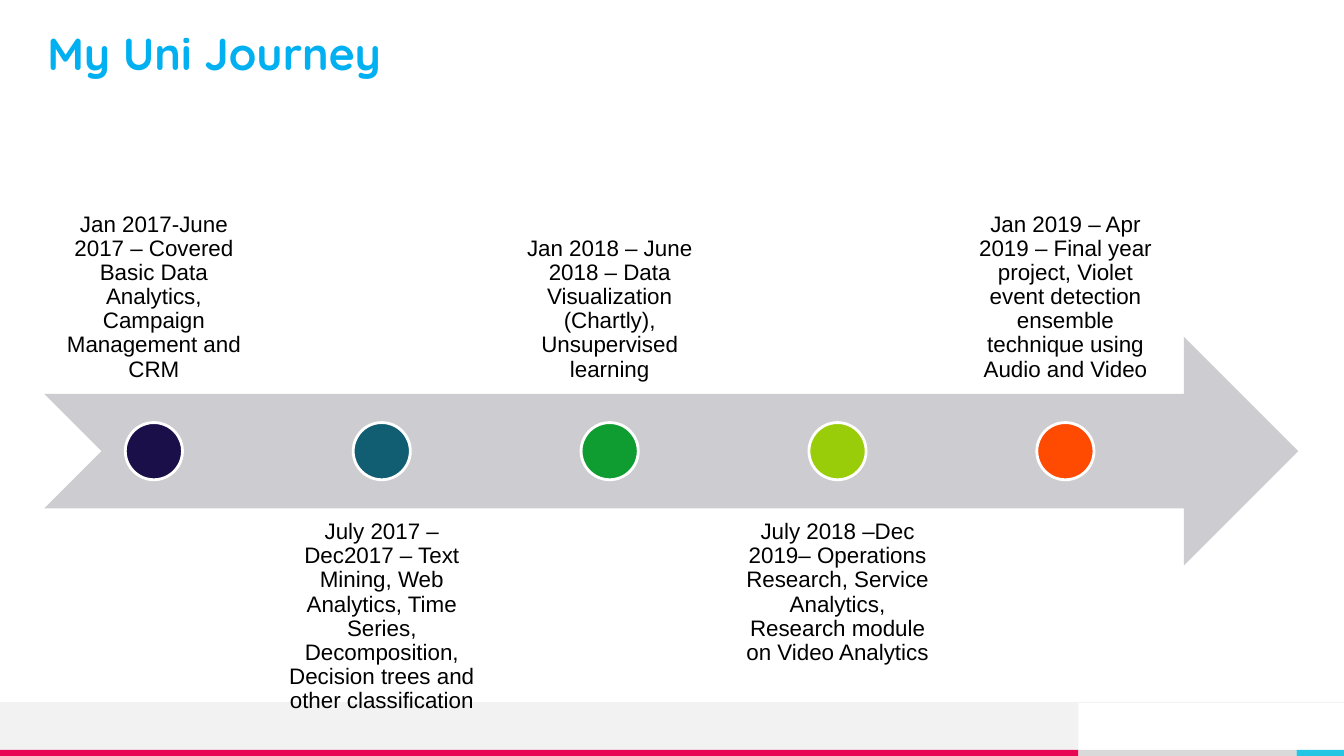
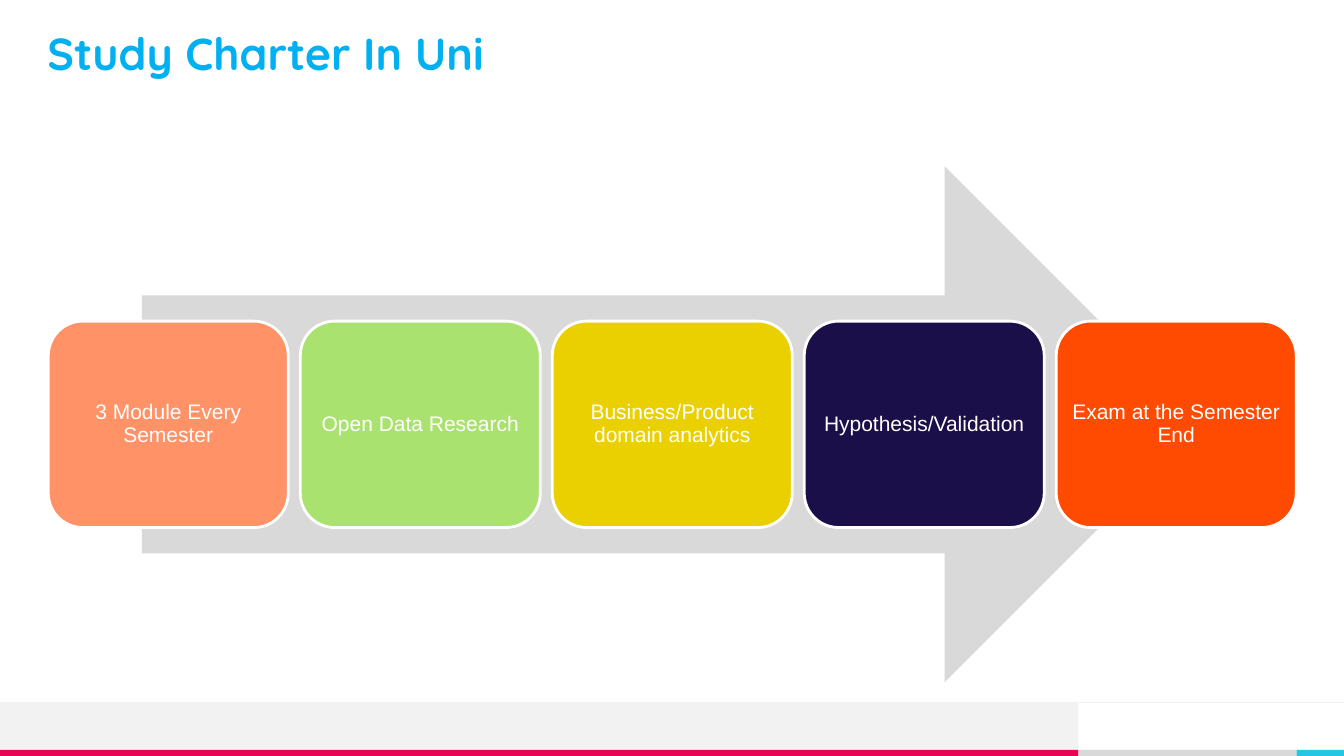
from lxml import etree
from pptx import Presentation
from pptx.dml.color import RGBColor
from pptx.enum.shapes import MSO_CONNECTOR, MSO_SHAPE
from pptx.enum.text import MSO_ANCHOR, PP_ALIGN
from pptx.oxml.ns import qn
from pptx.util import Pt

RECTANGLE = MSO_SHAPE.RECTANGLE
ROUNDED = MSO_SHAPE.ROUNDED_RECTANGLE
OVAL = MSO_SHAPE.OVAL
ARROW = MSO_SHAPE.RIGHT_ARROW
NOTCHED_ARROW = MSO_SHAPE.NOTCHED_RIGHT_ARROW
STRAIGHT = MSO_CONNECTOR.STRAIGHT
TOP, MIDDLE, BOTTOM = MSO_ANCHOR.TOP, MSO_ANCHOR.MIDDLE, MSO_ANCHOR.BOTTOM
LEFT, CENTER = PP_ALIGN.LEFT, PP_ALIGN.CENTER

WIDTH, HEIGHT = 960, 540
TITLE_FONT, BODY_FONT = "Quicksand", "Arial"
WHITE, BLACK, SKY = "FFFFFF", "000000", "00B0F0"
PALE, GREY, ARROW_GREY = "F2F2F2", "D9D9D9", "CDCCD0"
PINK, CYAN = "E80554", "25C6E3"
NAVY, TEAL, GREEN, LIME, ORANGE = "1A0F49", "115D71", "0F9D31", "99CD09", "FF4A01"
PEACH, MINT, YELLOW = "FF9267", "A9E26F", "EAD000"

TITLE_BOX = (33.8, 23, 892, 34)
FOOTER_BOX = (0, 502, WIDTH, 38)
TIMELINE_BOX = (31.7, 118, 895.7, 408.5)
PROCESS_BOX = (34.5, 118.8, 891.4, 368.6)
GAP_RATIO = 0.05

MILESTONES = [
    ("Jan 2017-June 2017 – Covered Basic Data Analytics, Campaign Management and CRM", NAVY),
    ("July 2017 – Dec2017 – Text Mining, Web Analytics, Time Series, Decomposition, "
     "Decision trees and other classification", TEAL),
    ("Jan 2018 – June 2018 – Data Visualization (Chartly), Unsupervised learning", GREEN),
    ("July 2018 –Dec 2019– Operations Research, Service Analytics, "
     "Research module on Video Analytics", LIME),
    ("Jan 2019 – Apr 2019 – Final year project, Violet event detection ensemble "
     "technique using Audio and Video", ORANGE),
]
STEPS = [
    ("3 Module Every Semester", PEACH),
    ("Open Data Research", MINT),
    ("Business/Product domain analytics", YELLOW),
    ("Hypothesis/Validation", NAVY),
    ("Exam at the Semester End", ORANGE),
]


def color(value):
    return RGBColor.from_string(value)


def points(box):
    return [Pt(length) for length in box]


def columns(left, width, count):
    """Return the column width and left edges for equal columns with proportional gaps."""
    column = width / (count + (count - 1) * GAP_RATIO)
    return column, [left + index * column * (1 + GAP_RATIO) for index in range(count)]


def add_shape(slide, kind, box, fill, outline=None):
    shape = slide.shapes.add_shape(kind, *points(box))
    shape.shadow.inherit = False
    shape.fill.solid()
    shape.fill.fore_color.rgb = color(fill)
    if outline:
        shape.line.color.rgb = color(outline)
        shape.line.width = Pt(2)
    else:
        shape.line.fill.background()
    return shape


def write(shape, text, *, size, ink, font=BODY_FONT, bold=False,
          align=CENTER, anchor=MIDDLE, inset=0):
    frame = shape.text_frame
    frame.word_wrap = True
    frame.vertical_anchor = anchor
    frame.margin_left = frame.margin_right = Pt(inset)
    frame.margin_top = frame.margin_bottom = Pt(inset)
    paragraph = frame.paragraphs[0]
    paragraph.alignment = align
    paragraph.line_spacing = 0.9
    run = paragraph.add_run()
    run.text = text
    run.font.name = font
    run.font.size = Pt(size)
    run.font.bold = bold
    run.font.color.rgb = color(ink)


def add_text(slide, box, text, **style):
    write(slide.shapes.add_textbox(*points(box)), text, **style)


def add_footer(slide, box):
    left, top, width, height = box
    strip = 4.3
    strip_top = top + height - strip
    pink_end, grey_end = left + 770.4, left + 926.2
    add_shape(slide, RECTANGLE, (left, top, pink_end - left, height - strip), PALE)
    strips = [(left, pink_end, PINK), (pink_end, grey_end, GREY),
              (grey_end, left + width, CYAN)]
    for start, end, fill in strips:
        add_shape(slide, RECTANGLE, (start, strip_top, end - start, strip), fill)
    rule = slide.shapes.add_connector(STRAIGHT, *points((left, top, left + width, top)))
    rule.line.color.rgb = color(PALE)
    rule.line.width = Pt(0.75)
    etree.SubElement(rule.element.spPr, qn("a:effectLst"))


def add_base_slide(presentation, title):
    slide = presentation.slides.add_slide(presentation.slide_layouts[6])
    add_footer(slide, FOOTER_BOX)
    add_text(slide, TITLE_BOX, title, size=32, ink=SKY, font=TITLE_FONT,
             bold=True, align=LEFT)
    return slide


def add_timeline(slide, box, milestones):
    """Draw an arrow with dots, and captions alternating above and below it."""
    left, top, width, height = box
    band = 0.4 * height
    dot = band / 4
    add_shape(slide, NOTCHED_ARROW, (left, top + 0.3 * height, width, band), ARROW_GREY)
    column, edges = columns(left + 0.7, 0.9 * width, len(milestones))
    for index, (edge, (text, fill)) in enumerate(zip(edges, milestones)):
        above = index % 2 == 0
        caption_top = top if above else top + height - band
        add_text(slide, (edge, caption_top, column, band), text, size=16, ink=BLACK,
                 anchor=BOTTOM if above else TOP, inset=8.6)
        dot_box = (edge + (column - dot) / 2, top + (height - dot) / 2, dot, dot)
        add_shape(slide, OVAL, dot_box, fill, WHITE)


def add_process(slide, box, steps):
    """Draw a row of cards across a wide arrow."""
    left, top, width, height = box
    card_height = 0.4 * height
    add_shape(slide, ARROW, (left + 0.075 * width, top, 0.85 * width, height), GREY)
    column, edges = columns(left, width, len(steps))
    for edge, (text, fill) in zip(edges, steps):
        card = add_shape(slide, ROUNDED,
                         (edge, top + 0.3 * height, column, card_height), fill, WHITE)
        write(card, text, size=15, ink=WHITE, inset=4.3)


def main():
    presentation = Presentation()
    presentation.slide_width, presentation.slide_height = Pt(WIDTH), Pt(HEIGHT)
    add_timeline(add_base_slide(presentation, "My Uni Journey"), TIMELINE_BOX, MILESTONES)
    add_process(add_base_slide(presentation, "Study Charter In Uni"), PROCESS_BOX, STEPS)
    presentation.save("out.pptx")


if __name__ == "__main__":
    main()
